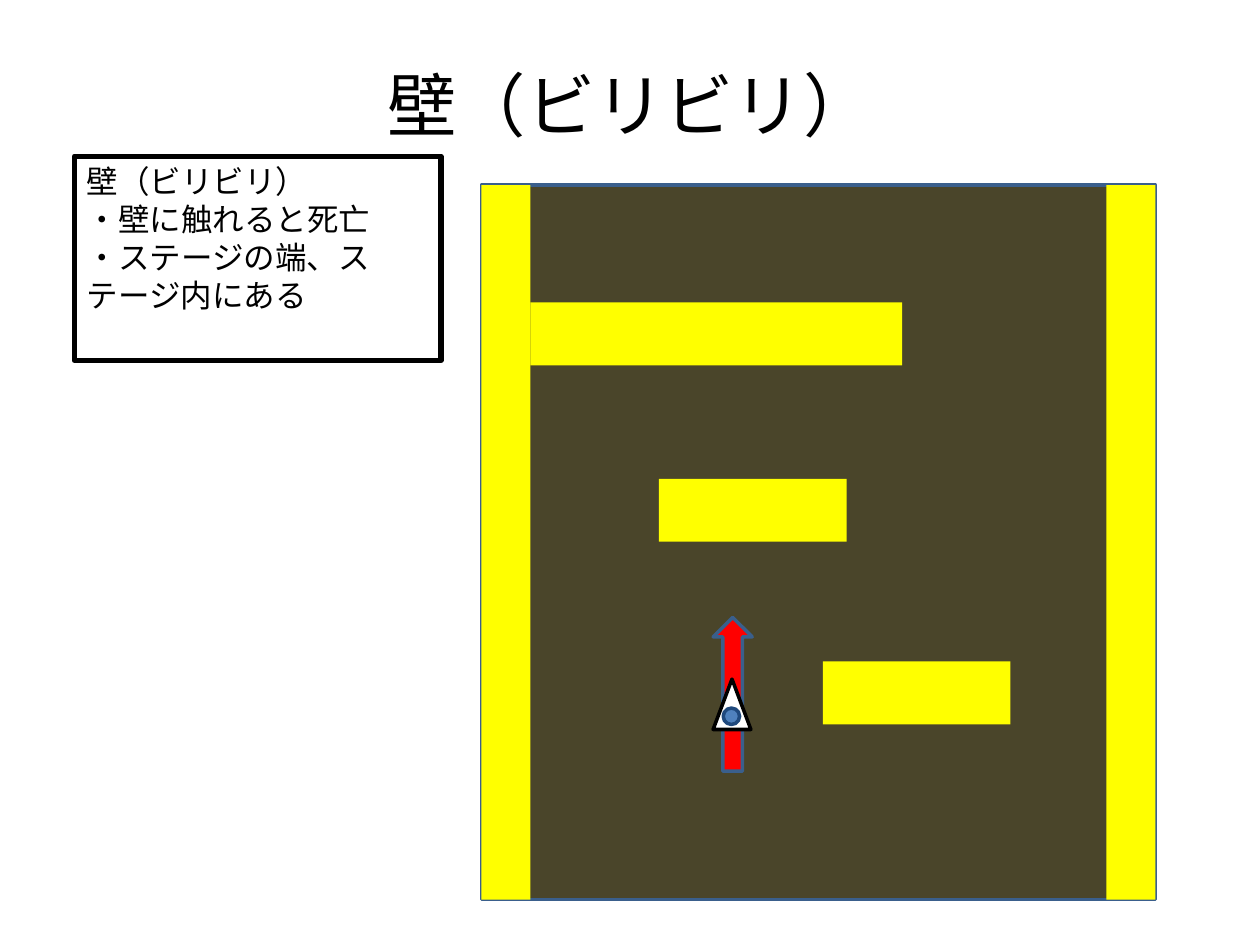
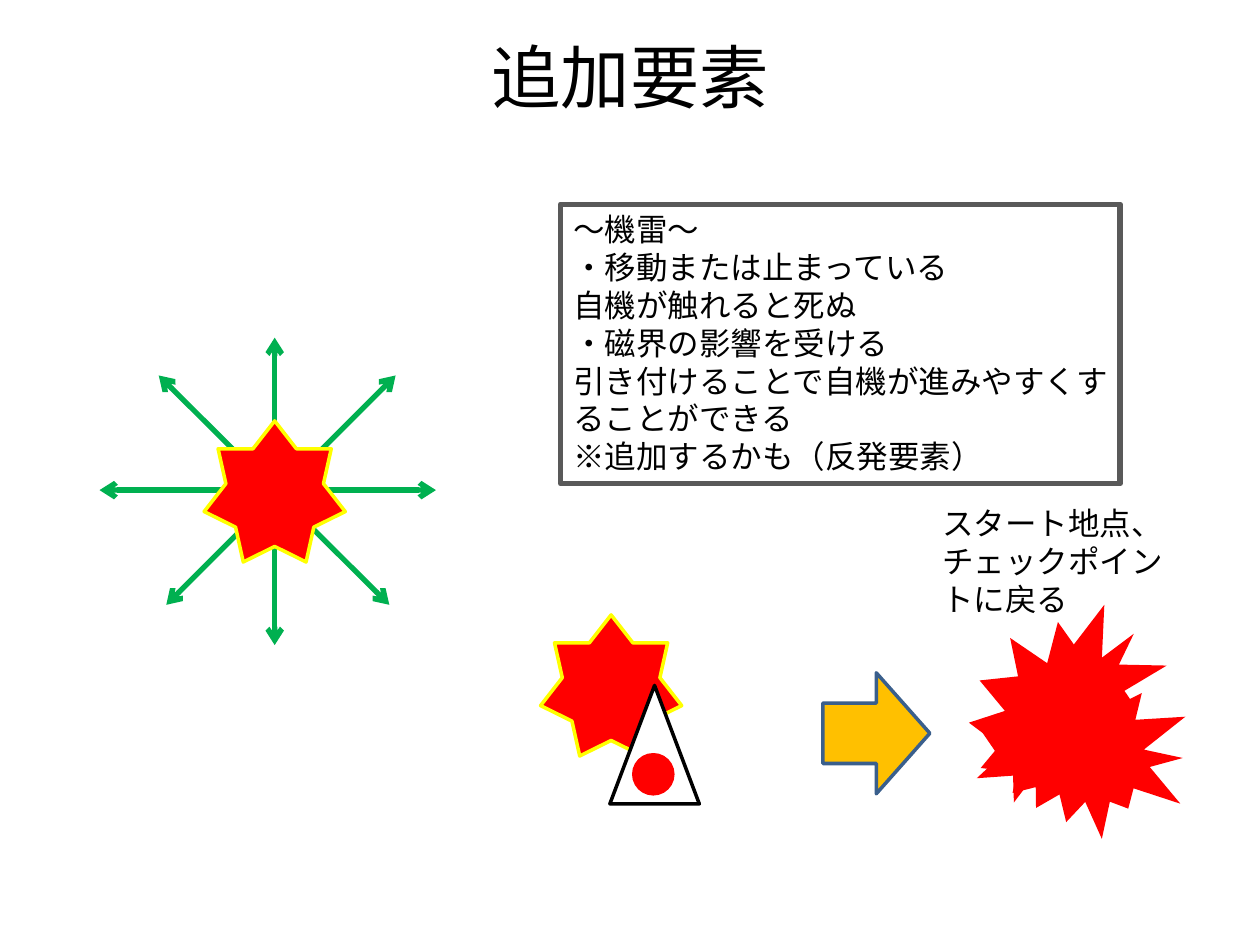
"""Builds two game-design slides: the electric walls and the added mine element."""
from lxml import etree
from pptx import Presentation, util as u
from pptx.dml.color import RGBColor
from pptx.enum import shapes, text
from pptx.oxml.ns import qn

KIND = shapes.MSO_SHAPE
BLACK, WHITE, RED, YELLOW = "000000", "FFFFFF", "FF0000", "FFFF00"
EDGE, GREEN, GREY = "3A5F8C", "00B050", "595959"
TITLE_SIZE, BODY_SIZE = 39.6, 18

WALL_TITLE = ("壁（ビリビリ）", 0.52)
WALL_NOTE = ["壁（ビリビリ）", "・壁に触れると死亡", "・ステージの端、ステージ内にある"]
STAGE = (3.82, 1.47, 5.35, 5.67)
SIDE_WIDTH, BAR_HEIGHT = 0.39, 0.5
BARS = [(4.21, 2.4, 2.95), (6.53, 5.25, 1.49), (5.23, 3.8, 1.49)]
SHIP = [
    (KIND.UP_ARROW, (5.66, 4.9, 0.31, 1.22), RED, EDGE),
    (KIND.ISOSCELES_TRIANGLE, (5.66, 5.39, 0.3, 0.4), WHITE, BLACK),
    (KIND.OVAL, (5.74, 5.62, 0.13, 0.13), "4F81BD", "1F497D"),
]

MINE_TITLE = ("追加要素", 0.3)
MINE_NOTE = ["～機雷～", "・移動または止まっている", "自機が触れると死ぬ", "・磁界の影響を受ける",
             "引き付けることで自機が進みやすくすることができる", "※追加するかも（反発要素）"]
RESTART_NOTE = ["スタート地点、チェックポイントに戻る"]
FIELD_LINES = [(0.79, 3.89, 3.46, 3.89), (1.26, 2.98, 3.09, 4.8),
               (2.18, 2.68, 2.18, 5.12), (1.32, 4.8, 3.14, 2.98)]
MINES = [(1.62, 3.34), (4.29, 4.88)]
MINE_SIZE = 1.12
CRASH = [
    (KIND.ISOSCELES_TRIANGLE, (4.84, 5.44, 0.71, 0.94), WHITE, BLACK),
    (KIND.OVAL, (5.03, 5.99, 0.31, 0.31), RED, RED),
    (KIND.RIGHT_ARROW, (6.53, 5.34, 0.85, 0.96), "FFC000", EDGE),
]
BLASTS = [(7.69, 4.8, 0), (7.84, 5.2, 49)]
BLAST_SIZE = 1.57

NOTE_FRAME = {"word_wrap": True, "auto_size": text.MSO_AUTO_SIZE.NONE,
              "vertical_anchor": text.MSO_ANCHOR.TOP}
TITLE_FRAME = {**NOTE_FRAME, "vertical_anchor": text.MSO_ANCHOR.MIDDLE}


def color(value):
    return RGBColor.from_string(value)


def inches(values):
    return [u.Inches(value) for value in values]


def assign(target, values):
    for name, value in values.items():
        setattr(target, name, value)


def write(frame, lines, settings, size, align):
    assign(frame, settings)
    for index, line in enumerate(lines):
        paragraph = frame.add_paragraph() if index else frame.paragraphs[0]
        paragraph.alignment = align
        run = paragraph.add_run()
        run.text = line
        assign(run.font, {"name": "Calibri", "size": u.Pt(size)})
        run.font.color.rgb = color(BLACK)


def new_slide(title, top):
    slide = deck.slides.add_slide(deck.slide_layouts[5])
    heading = slide.shapes.title
    assign(heading, dict(zip(("left", "top", "width", "height"), inches((0.5, top, 9, 0.61)))))
    write(heading.text_frame, [title], TITLE_FRAME, TITLE_SIZE, text.PP_ALIGN.CENTER)
    return slide


def draw(slide, kind, at, fill=None, edge=None, width=2, rotation=0):
    shape = slide.shapes.add_shape(kind, *inches(at))
    shape.shadow.inherit = False
    shape.rotation = rotation
    if fill:
        shape.fill.solid()
        shape.fill.fore_color.rgb = color(fill)
    else:
        shape.fill.background()
    if edge:
        shape.line.color.rgb = color(edge)
        shape.line.width = u.Pt(width)
    else:
        shape.line.fill.background()
    return shape


def note(slide, at, lines, edge):
    box = draw(slide, KIND.RECTANGLE, at, edge=edge, width=3)
    write(box.text_frame, lines, NOTE_FRAME, BODY_SIZE, text.PP_ALIGN.LEFT)


def field_line(slide, ends):
    line = slide.shapes.add_connector(shapes.MSO_CONNECTOR.STRAIGHT, *inches(ends))
    line.line.color.rgb = color(GREEN)
    line.line.width = u.Pt(3)
    for end in ("a:headEnd", "a:tailEnd"):
        etree.SubElement(line.line._get_or_add_ln(), qn(end), type="arrow")
    etree.SubElement(line._element.spPr, qn("a:effectLst"))


def build_walls():
    slide = new_slide(*WALL_TITLE)
    left, top, width, height = STAGE
    draw(slide, KIND.RECTANGLE, STAGE, "4A452A", EDGE)
    note(slide, (0.59, 1.24, 2.91, 1.62), WALL_NOTE, BLACK)
    for part in SHIP:
        draw(slide, *part)
    sides = [(x, top, SIDE_WIDTH, height) for x in (left, left + width - SIDE_WIDTH)]
    for at in sides + [(*bar, BAR_HEIGHT) for bar in BARS]:
        draw(slide, KIND.RECTANGLE, at, YELLOW)


def build_mines():
    slide = new_slide(*MINE_TITLE)
    note(slide, (4.45, 1.62, 4.44, 2.22), MINE_NOTE, GREY)
    for ends in FIELD_LINES:
        field_line(slide, ends)
    for corner in MINES:
        draw(slide, KIND.STAR_7_POINT, (*corner, MINE_SIZE, MINE_SIZE), RED, YELLOW)
    for part in CRASH:
        draw(slide, *part)
    restart = slide.shapes.add_textbox(*inches((7.38, 3.95, 2.19, 1.01)))
    write(restart.text_frame, RESTART_NOTE, NOTE_FRAME, BODY_SIZE, text.PP_ALIGN.LEFT)
    for x, y, turn in BLASTS:
        draw(slide, KIND.EXPLOSION2, (x, y, BLAST_SIZE, BLAST_SIZE), RED, rotation=turn)


deck = Presentation()
assign(deck, {"slide_width": u.Inches(10), "slide_height": u.Inches(7.5)})
build_walls()
build_mines()
deck.save("out.pptx")
